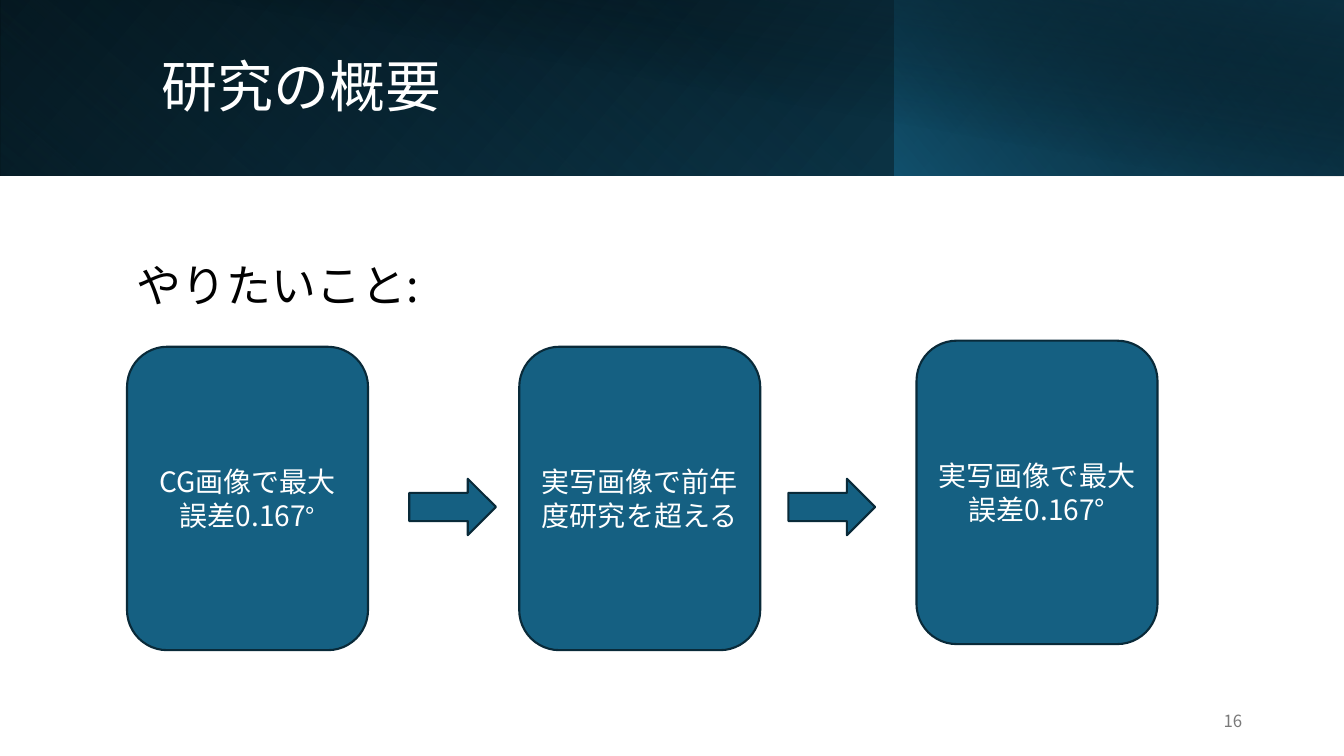
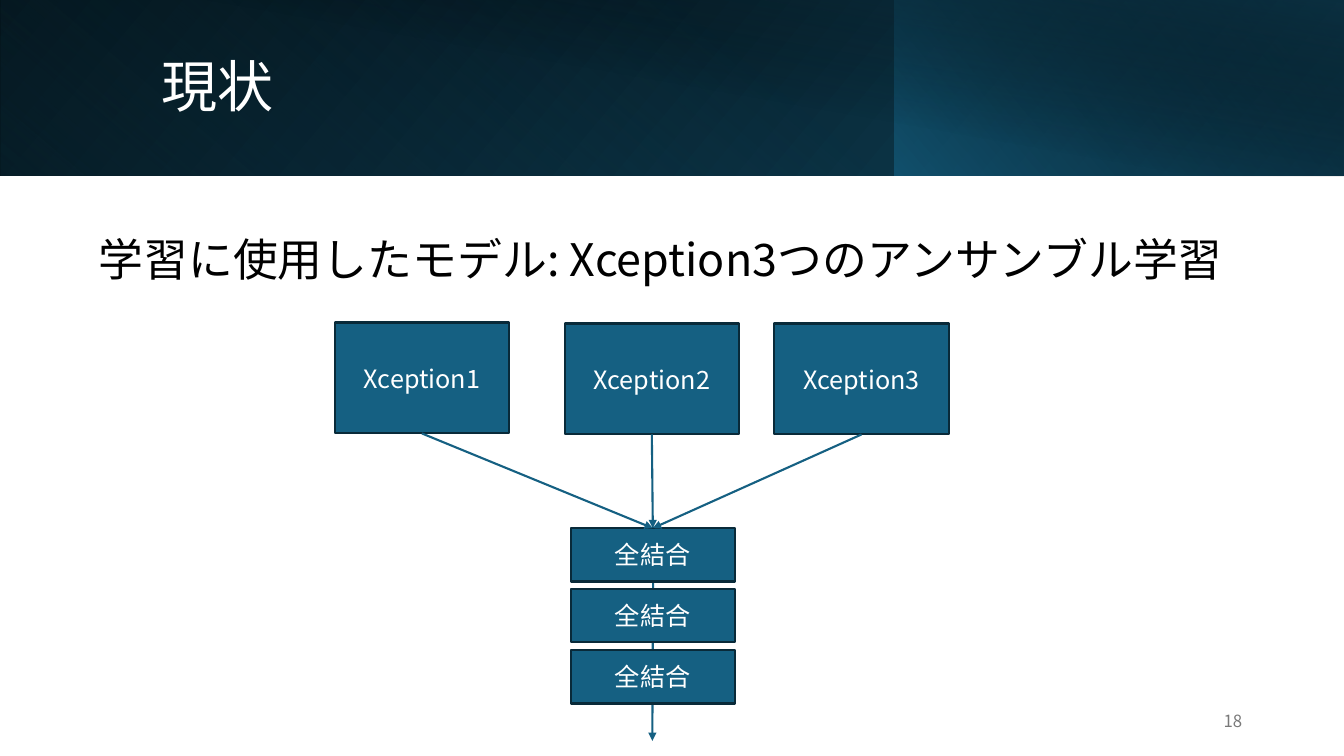
import pptx
import pptx.util
import pptx.dml.color
import pptx.enum.shapes
import pptx.enum.text
import pptx.oxml.ns
from lxml import etree

Inches = pptx.util.Inches
Pt = pptx.util.Pt
qn = pptx.oxml.ns.qn
SHAPE = pptx.enum.shapes.MSO_SHAPE
ALIGN = pptx.enum.text.PP_ALIGN
ANCHOR = pptx.enum.text.MSO_ANCHOR

FONT = "Noto Sans CJK JP"
BLUE, EDGE, WHITE, BLACK, GREY = "156082", "092A39", "FFFFFF", "000000", "797979"
DEEP, NAVY = "0B3041", "104862"
LINE_WIDTH = 1.5

BANDS = [
    ((0, 0, 13.33, 1.74), True, 0, 140, [(0, BLACK, 100), (100, NAVY, 100)]),
    ((0, 0, 8.88, 1.74), True, 180, 230, [(20, BLUE, 0), (100, DEEP, 55)]),
    ((8.87, 0, 4.46, 1.74), True, 0, 220, [(0, BLUE, 66), (100, BLACK, 30)]),
    ((0.5, 0, 12.83, 1.75), False, 0, 280, [(50, BLACK, 0), (99, DEEP, 52)]),
]


def rgb(value):
    return pptx.dml.color.RGBColor.from_string(value)


def apply(target, values):
    for name, value in values.items():
        setattr(target, name, value)


def place(target, box):
    apply(target, dict(zip(("left", "top", "width", "height"), map(Inches, box))))


def write(frame, runs, color, align=ALIGN.LEFT, anchor=ANCHOR.TOP, spacing=None):
    apply(frame, {"word_wrap": True, "vertical_anchor": anchor})
    paragraph = frame.paragraphs[0]
    apply(paragraph, {"alignment": align, "line_spacing": spacing})
    for text, size in runs:
        run = paragraph.add_run()
        run.text = text
        apply(run.font, {"size": Pt(size), "name": FONT})
        run.font.color.rgb = rgb(color)
        etree.SubElement(run.font._element, qn("a:ea"), typeface=FONT)


def add_text(slide, box, text, size, color=BLACK, **layout):
    label = slide.shapes.add_textbox(*map(Inches, box))
    write(label.text_frame, [(text, size)], color, **layout)


def add_block(slide, kind, box, runs=()):
    block = slide.shapes.add_shape(kind, *map(Inches, box))
    block.shadow.inherit = False
    block.fill.solid()
    block.fill.fore_color.rgb = rgb(BLUE)
    block.line.color.rgb = rgb(EDGE)
    block.line.width = Pt(LINE_WIDTH)
    if runs:
        write(block.text_frame, runs, WHITE, ALIGN.CENTER, ANCHOR.MIDDLE)
    return block


def add_arrow(slide, start, end):
    arrow = slide.shapes.add_connector(
        pptx.enum.shapes.MSO_CONNECTOR.STRAIGHT, *map(Inches, start + end))
    arrow.line.color.rgb = rgb(BLUE)
    arrow.line.width = Pt(LINE_WIDTH)
    etree.SubElement(arrow.line._get_or_add_ln(), qn("a:tailEnd"), type="triangle")
    etree.SubElement(arrow._element.spPr, qn("a:effectLst"))
    return arrow


def add_band(slide, box, flipped, rotation, angle, stops):
    band = slide.shapes.add_shape(SHAPE.RECTANGLE, *map(Inches, box))
    band.shadow.inherit = False
    band.line.fill.background()
    band.rotation = rotation
    properties = band._element.spPr
    if flipped:
        properties.find(qn("a:xfrm")).set("flipH", "1")
    band.fill.gradient()
    band.fill.gradient_angle = 360 - angle
    for stop, (position, color, _) in zip(band.fill.gradient_stops, stops):
        stop.position = position / 100
        stop.color.rgb = rgb(color)
    for tint, (_, _, opacity) in zip(properties.iter(qn("a:srgbClr")), stops):
        if opacity < 100:
            etree.SubElement(tint, qn("a:alpha"), val=str(opacity * 1000))
    return band


def style_layout(layout, slide):
    for index, band in enumerate(BANDS):
        layout.shapes._spTree.insert(2 + index, add_band(slide, *band)._element)
    place(layout.placeholders[0], (1.5, 0.32, 10.82, 1.13))


def start_slide(deck, layout, title, number):
    slide = deck.slides.add_slide(layout)
    if len(deck.slides) == 1:
        style_layout(layout, slide)
    write(slide.shapes.title.text_frame, [(title, 40)], WHITE,
          anchor=ANCHOR.MIDDLE, spacing=0.9)
    add_text(slide, (9.42, 6.95, 3, 0.4), number, 12, GREY,
             align=ALIGN.RIGHT, anchor=ANCHOR.MIDDLE)
    return slide


def build_overview(deck, layout):
    slide = start_slide(deck, layout, "研究の概要", "16")
    add_text(slide, (1.26, 2.51, 10.74, 1.18), "やりたいこと:", 32)
    goals = [
        (1.26, 3.44, [("CG画像で最大誤差0.167", 20), ("°", 18)]),
        (5.15, 3.44, [("実写画像で前年度研究を超える", 20)]),
        (9.09, 3.38, [("実写画像で最大誤差0.167°", 20)]),
    ]
    for left, top, runs in goals:
        add_block(slide, SHAPE.ROUNDED_RECTANGLE, (left, top, 2.39, 3.01), runs)
    for left in (4.06, 7.82):
        add_block(slide, SHAPE.RIGHT_ARROW, (left, 4.75, 0.86, 0.56))


def build_status(deck, layout):
    slide = start_slide(deck, layout, "現状", "18")
    add_text(slide, (0.88, 2.25, 12.4, 0.64),
             "学習に使用したモデル: Xception3つのアンサンブル学習", 32)
    models = [
        add_block(slide, SHAPE.RECTANGLE, (left, top, 1.73, 1.1),
                  [(f"Xception{index}", 18)])
        for index, (left, top) in enumerate([(3.32, 3.2), (5.6, 3.21), (7.68, 3.21)], 1)
    ]
    add_arrow(slide, (6.48, 5.24), (6.47, 7.35))
    dense_layers = [
        add_block(slide, SHAPE.RECTANGLE, (5.66, top, 1.63, 0.53), [("全結合", 18)])
        for top in (5.24, 5.84, 6.45)
    ]
    for model in models:
        arrow = add_arrow(slide, (0, 0), (1, 1))
        arrow.begin_connect(model, 2)
        arrow.end_connect(dense_layers[0], 0)


def main():
    deck = pptx.Presentation()
    apply(deck, {"slide_width": Inches(13.33), "slide_height": Inches(7.5)})
    layout = deck.slide_layouts.get_by_name("Title Only")
    build_overview(deck, layout)
    build_status(deck, layout)
    deck.save("out.pptx")


if __name__ == "__main__":
    main()
